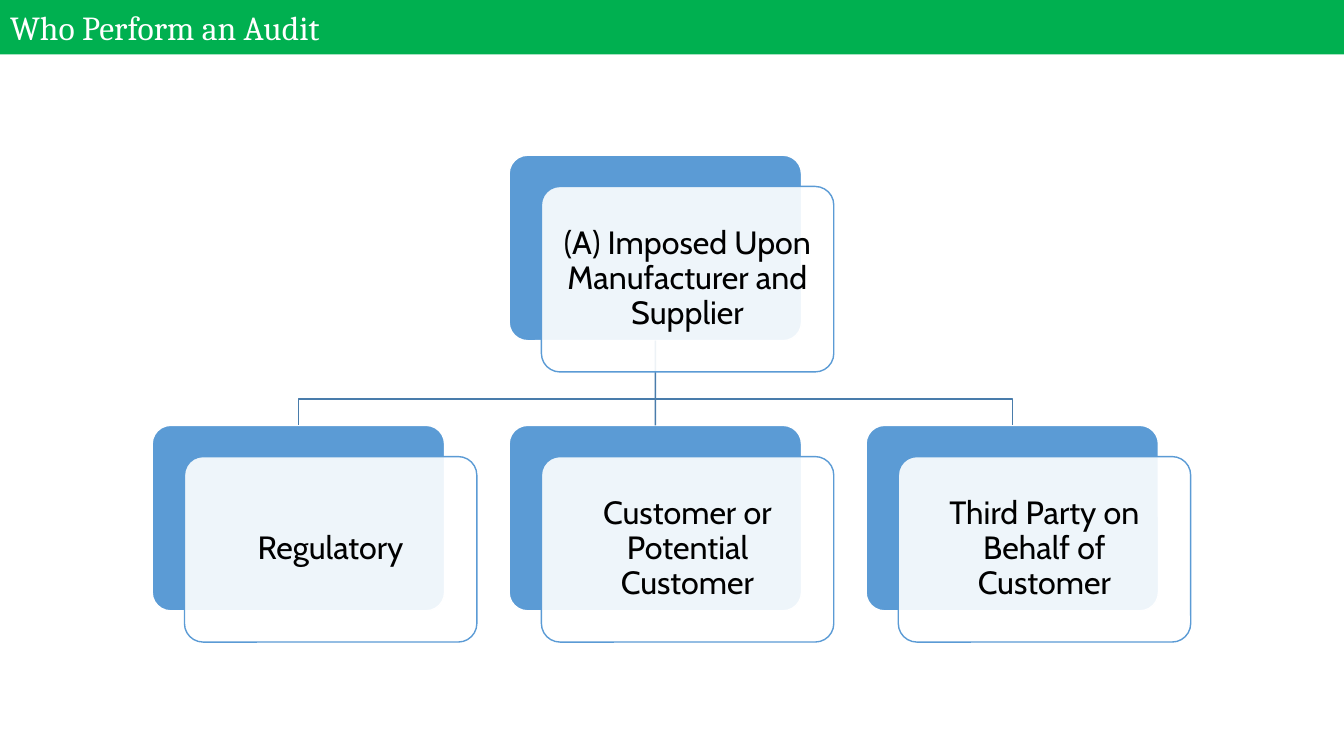
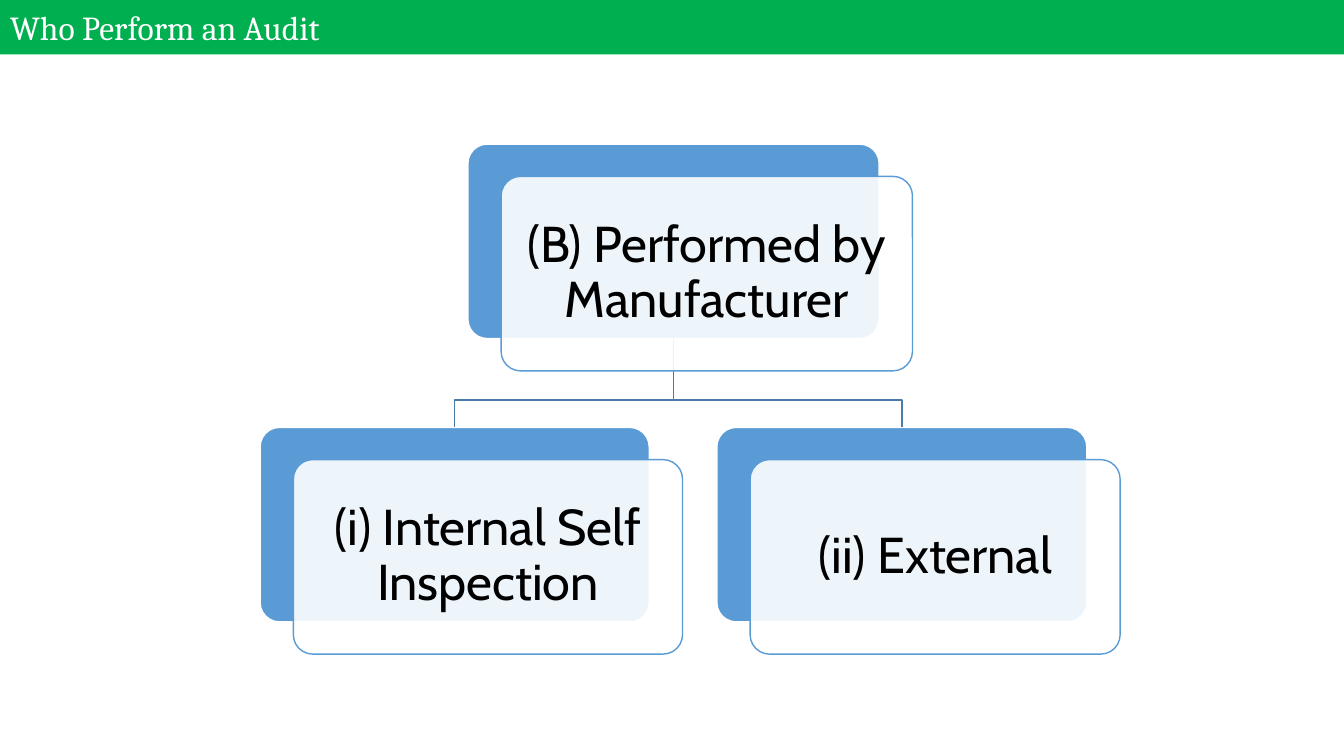
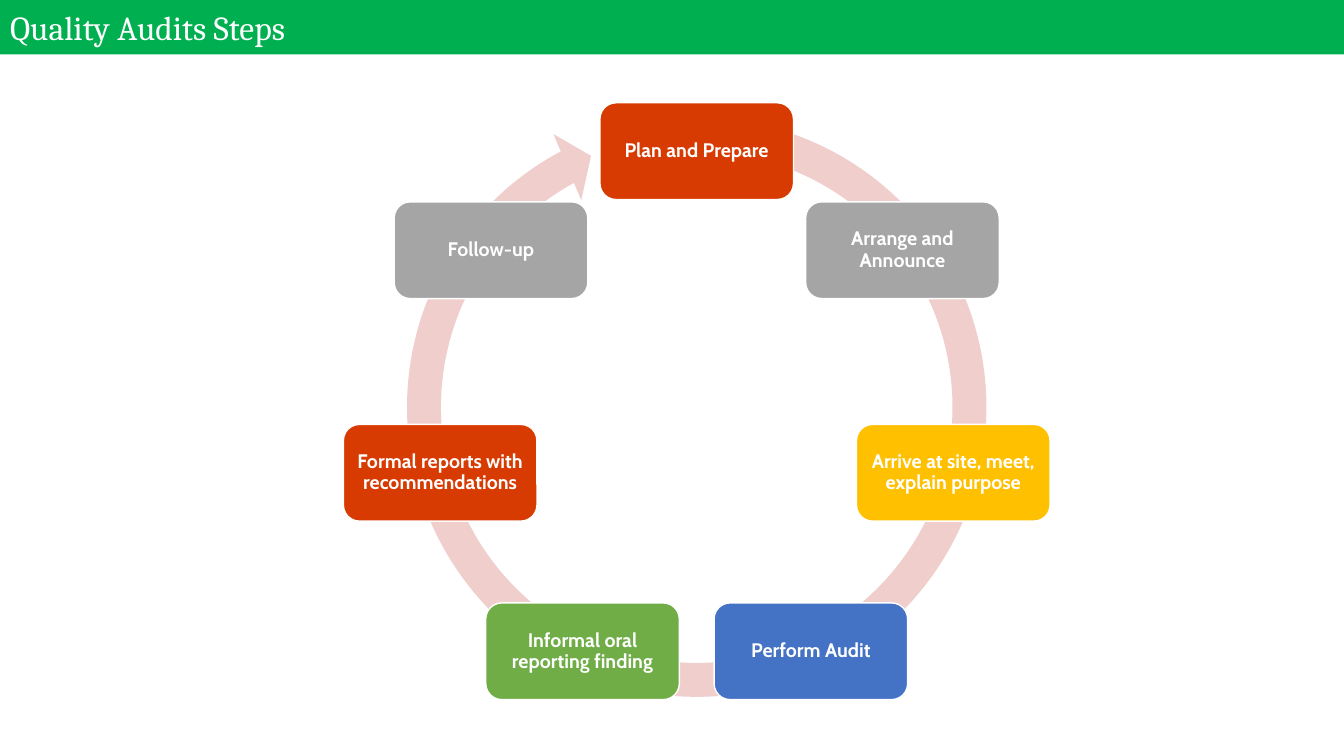
import math
from dataclasses import dataclass

from lxml import etree
from pptx import Presentation
from pptx.dml.color import RGBColor
from pptx.enum import shapes, text
from pptx.oxml.ns import qn
from pptx.util import Inches, Pt


@dataclass(frozen=True)
class Theme:
    band: str = "00B050"
    white: str = "FFFFFF"
    black: str = "000000"
    card: str = "5B9BD5"
    branch: str = "497CAB"
    ring: str = "F0CECC"
    red: str = "D83B01"
    grey: str = "A5A5A5"
    yellow: str = "FFC000"
    blue: str = "4472C4"
    green: str = "70AD47"
    title_font: str = "Cambria"
    body_font: str = "Cabin"
    title_size: int = 24
    step_size: int = 14
    line_width: int = 1
    line_spacing: float = 0.9
    card_opacity: int = 90


THEME = Theme()
SLIDE_WIDTH, SLIDE_HEIGHT, BAND_HEIGHT = 13.33, 7.5, 0.54
BEND = 0.69  # share of the drop between levels at which a branch turns

# Each child is (text, width); lengths are in inches.
CHARTS = [
    {
        "title": "Who Perform an Audit",
        "root": ("(A) Imposed Upon Manufacturer and Supplier", 2.9),
        "children": [
            ("Regulatory", 2.9),
            ("Customer or Potential Customer", 2.9),
            ("Third Party on Behalf of Customer", 2.9),
        ],
        "left": 1.51, "gap": 0.64, "tops": (1.54, 4.22), "height": 1.84,
        "offset": (0.32, 0.31), "size": 23, "inset": 0.1,
    },
    {
        "title": "Who Perform an Audit",
        "root": ("(B) Performed by Manufacturer", 4.08),
        "children": [
            ("(i) Internal Self Inspection", 3.86),
            ("(ii) External", 3.67),
        ],
        "left": 2.58, "gap": 0.67, "tops": (1.43, 4.24), "height": 1.93,
        "offset": (0.33, 0.32), "size": 36, "inset": 0.15,
    },
]

CYCLE_TITLE = "Quality Audits Steps"
STEPS = [
    ("Plan and Prepare", THEME.red),
    ("Arrange and Announce", THEME.grey),
    ("Arrive at site, meet, explain purpose", THEME.yellow),
    ("Perform Audit", THEME.blue),
    ("Informal oral reporting finding", THEME.green),
    ("Formal reports with recommendations", THEME.red),
    ("Follow-up", THEME.grey),
]
CYCLE_CENTER, CYCLE_RADIUS = (6.91, 4.11), 2.61
STEP_WIDTH, STEP_HEIGHT, STEP_INSET = 1.92, 0.96, 0.06
RING_BOX = (3.85, 0.98, 6.12, 6.12)
RING_ADJUSTMENTS = (0.055, 3.307, 145.018, 169.582, 0.058)


def rgb(color):
    return RGBColor.from_string(color)


def inches(*lengths):
    return [Inches(length) for length in lengths]


def set_line(shape, color):
    shape.line.color.rgb = rgb(color)
    shape.line.width = Pt(THEME.line_width)


def set_font(paragraph, name, size, color, bold=False):
    font = paragraph.font
    font.name, font.size, font.bold = name, Pt(size), bold
    font.color.rgb = rgb(color)


def add_slide(presentation, title_text):
    slide = presentation.slides.add_slide(presentation.slide_layouts[5])
    title = slide.shapes.title
    title.left, title.top, title.width, title.height = inches(
        0, 0, SLIDE_WIDTH, BAND_HEIGHT)
    title.fill.solid()
    title.fill.fore_color.rgb = rgb(THEME.band)
    frame = title.text_frame
    frame.text = title_text
    frame.auto_size = text.MSO_AUTO_SIZE.NONE
    frame.vertical_anchor = text.MSO_ANCHOR.MIDDLE
    paragraph = frame.paragraphs[0]
    paragraph.alignment = text.PP_ALIGN.LEFT
    set_font(paragraph, THEME.title_font, THEME.title_size, THEME.white)
    return slide


def add_box(slide, box, fill, line=None, kind=shapes.MSO_SHAPE.ROUNDED_RECTANGLE):
    shape = slide.shapes.add_shape(kind, *inches(*box))
    shape.shadow.inherit = False
    shape.fill.solid()
    shape.fill.fore_color.rgb = rgb(fill)
    if line:
        set_line(shape, line)
    else:
        shape.line.fill.background()
    return shape


def write_label(shape, label, size, color, inset, bold=False):
    frame = shape.text_frame
    frame.word_wrap = True
    frame.vertical_anchor = text.MSO_ANCHOR.MIDDLE
    frame.margin_left = frame.margin_right = Inches(inset)
    frame.margin_top = frame.margin_bottom = Inches(inset)
    frame.text = label
    paragraph = frame.paragraphs[0]
    paragraph.alignment = text.PP_ALIGN.CENTER
    paragraph.line_spacing = THEME.line_spacing
    set_font(paragraph, THEME.body_font, size, color, bold)


def set_opacity(shape, percent):
    color = shape.element.xpath("./p:spPr/a:solidFill/a:srgbClr")[0]
    etree.SubElement(color, qn("a:alpha")).set("val", str(percent * 1000))


def add_branch(slide, parent, child):
    """Draw a straight connector to a child below, or a bent line to one aside."""
    start_x, start_y = parent.left + parent.width // 2, parent.top + parent.height
    end_x, end_y = child.left + child.width // 2, child.top
    if abs(end_x - start_x) < Inches(0.02):
        branch = slide.shapes.add_connector(
            shapes.MSO_CONNECTOR.STRAIGHT, start_x, start_y, end_x, end_y)
        branch.begin_connect(parent, 2)
        branch.end_connect(child, 0)
        etree.SubElement(branch.element.spPr, qn("a:effectLst"))
    else:
        bend_y = start_y + round((end_y - start_y) * BEND)
        builder = slide.shapes.build_freeform(start_x, start_y)
        builder.add_line_segments(
            [(start_x, bend_y), (end_x, bend_y), (end_x, end_y)], close=False)
        branch = builder.convert_to_shape()
        branch.fill.background()
        branch.shadow.inherit = False
    set_line(branch, THEME.branch)


def add_organization_slide(presentation, chart):
    slide = add_slide(presentation, chart["title"])
    height, gap = chart["height"], chart["gap"]
    root_top, child_top = chart["tops"]
    root_label, root_width = chart["root"]

    widths = [width for _, width in chart["children"]]
    span = sum(widths) + gap * (len(widths) - 1)
    root_left = chart["left"] + (span - root_width) / 2
    nodes = [(root_label, (root_left, root_top, root_width, height))]
    left = chart["left"]
    for label, width in chart["children"]:
        nodes.append((label, (left, child_top, width, height)))
        left += width + gap

    cards = [add_box(slide, box, THEME.card, THEME.white) for _, box in nodes]
    for child in cards[1:]:
        add_branch(slide, cards[0], child)

    shift_x, shift_y = chart["offset"]
    fronts = []
    for label, (left, top, width, height) in nodes:
        front = add_box(slide, (left + shift_x, top + shift_y, width, height),
                        THEME.white, THEME.card)
        set_opacity(front, THEME.card_opacity)
        write_label(front, label, chart["size"], THEME.black, chart["inset"])
        fronts.append(front)
    for shape in cards + fronts:
        shape.adjustments[0] = 0.1


def add_cycle_slide(presentation):
    slide = add_slide(presentation, CYCLE_TITLE)
    ring = add_box(slide, RING_BOX, THEME.ring, kind=shapes.MSO_SHAPE.CIRCULAR_ARROW)
    for index, value in enumerate(RING_ADJUSTMENTS):
        ring.adjustments[index] = value

    center_x, center_y = CYCLE_CENTER
    for index, (label, color) in enumerate(STEPS):
        angle = 2 * math.pi * index / len(STEPS)
        left = center_x + CYCLE_RADIUS * math.sin(angle) - STEP_WIDTH / 2
        top = center_y - CYCLE_RADIUS * math.cos(angle) - STEP_HEIGHT / 2
        step = add_box(slide, (left, top, STEP_WIDTH, STEP_HEIGHT), color, THEME.white)
        write_label(step, label, THEME.step_size, THEME.white, STEP_INSET, bold=True)


def main():
    presentation = Presentation()
    presentation.slide_width, presentation.slide_height = inches(
        SLIDE_WIDTH, SLIDE_HEIGHT)
    for chart in CHARTS:
        add_organization_slide(presentation, chart)
    add_cycle_slide(presentation)
    presentation.save("out.pptx")


if __name__ == "__main__":
    main()
